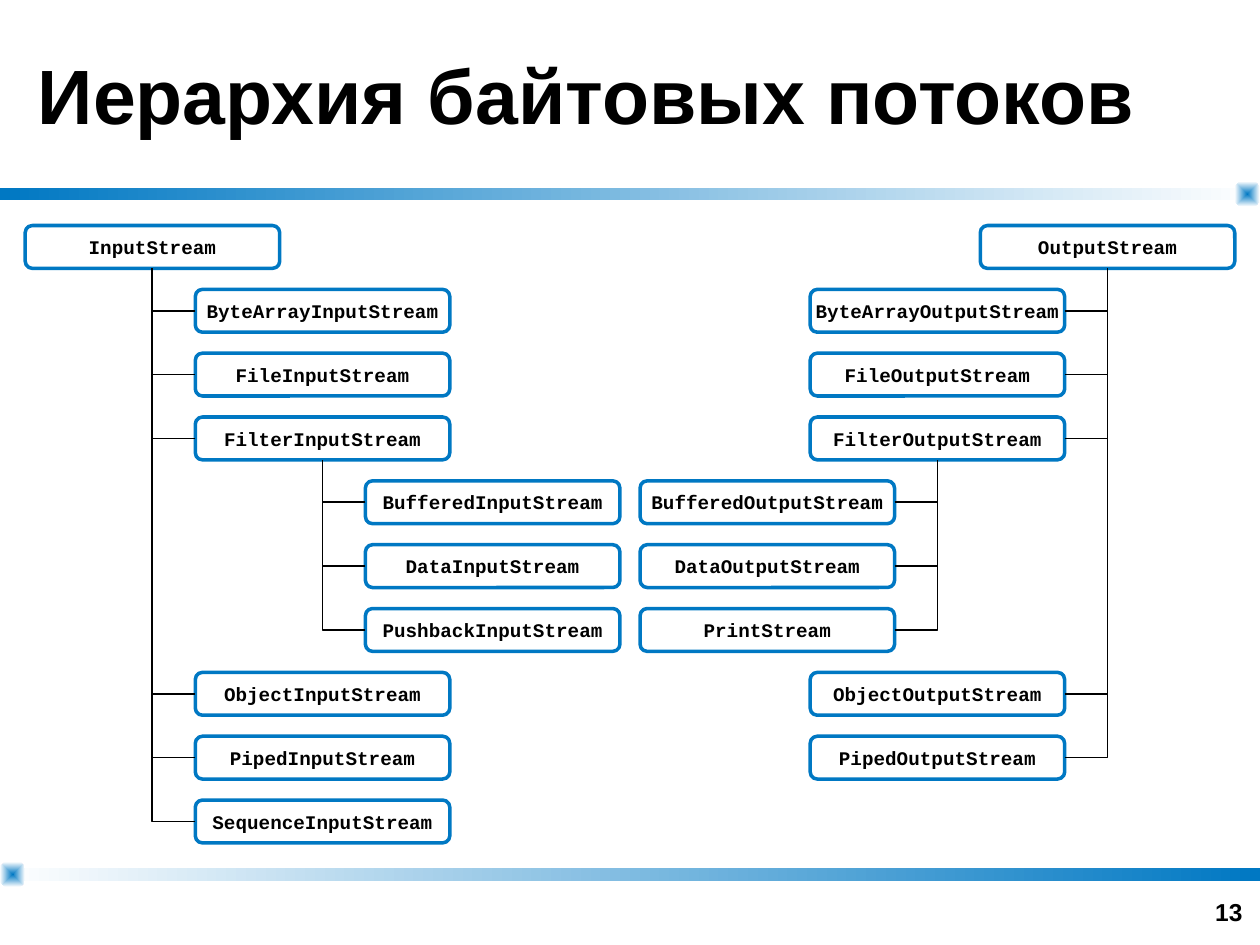
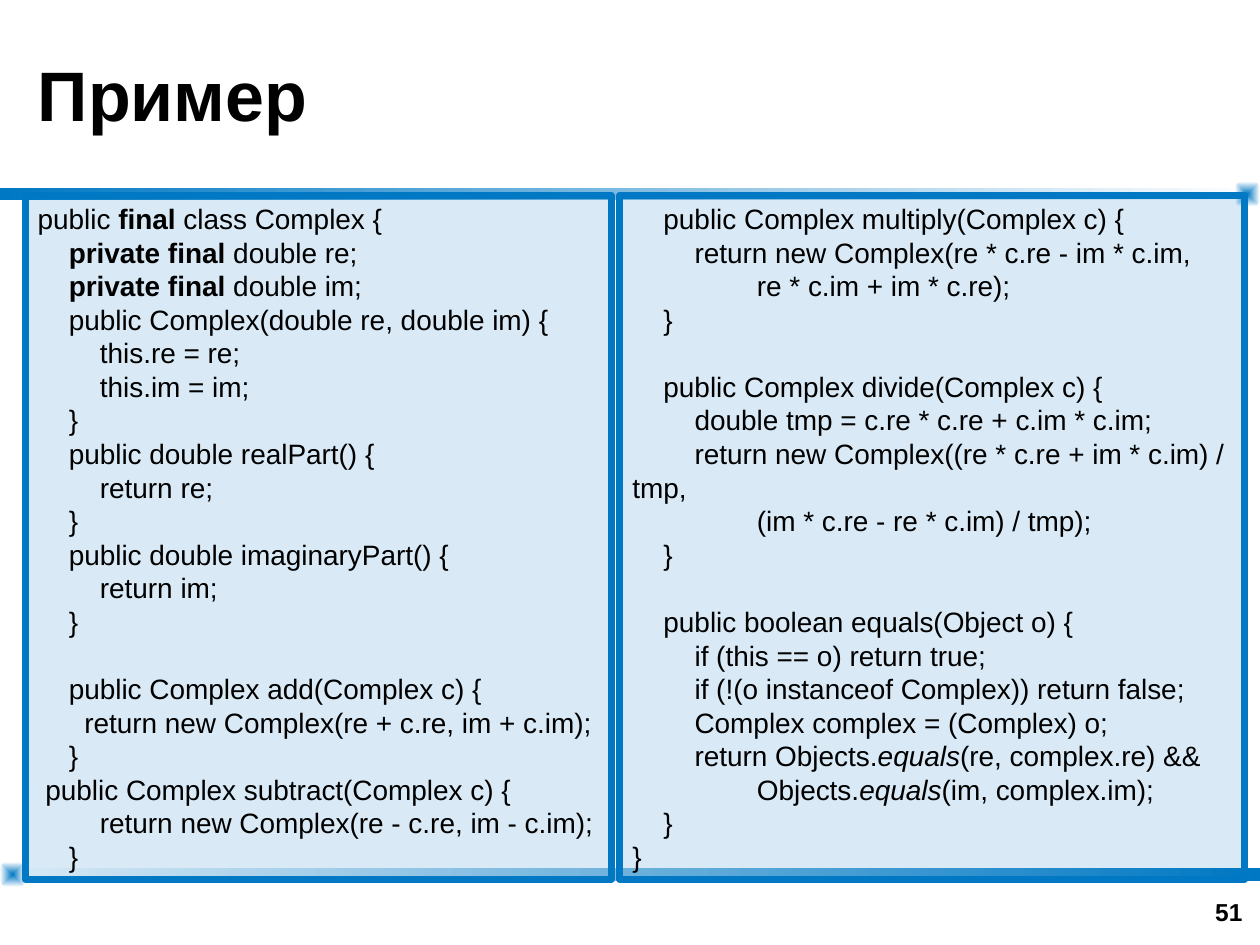
from lxml.etree import SubElement
from pptx import Presentation
from pptx.dml.color import RGBColor
from pptx.enum.shapes import MSO_CONNECTOR, MSO_SHAPE
from pptx.enum.text import MSO_ANCHOR, MSO_AUTO_SIZE, PP_ALIGN
from pptx.oxml.ns import qn
from pptx.util import Inches, Pt

BLUE = RGBColor(0x00, 0x78, 0xC3)
WHITE = RGBColor(0xFF, 0xFF, 0xFF)
BLACK = RGBColor(0x00, 0x00, 0x00)
BODY_FONT = "Arial"
CODE_FONT = "Courier New"

BOX_W, BOX_H = 2.02, 0.34
TREE_TOP = 1.79
ROW_STEP = (6.35 - TREE_TOP) / 9
LEVEL_STEP = 1.35
LEFT_SITE, BOTTOM_SITE, RIGHT_SITE = 1, 2, 3

CODE_LINE = 19.2  # points
SPACE_WIDTH = 4.45  # points, one space of 16 pt Arial

# Each entry is (class name, depth in the hierarchy).
INPUT_STREAMS = [
    ("InputStream", 0),
    ("ByteArrayInputStream", 1),
    ("FileInputStream", 1),
    ("FilterInputStream", 1),
    ("BufferedInputStream", 2),
    ("DataInputStream", 2),
    ("PushbackInputStream", 2),
    ("ObjectInputStream", 1),
    ("PipedInputStream", 1),
    ("SequenceInputStream", 1),
]
OUTPUT_STREAMS = [
    ("OutputStream", 0),
    ("ByteArrayOutputStream", 1),
    ("FileOutputStream", 1),
    ("FilterOutputStream", 1),
    ("BufferedOutputStream", 2),
    ("DataOutputStream", 2),
    ("PrintStream", 2),
    ("ObjectOutputStream", 1),
    ("PipedOutputStream", 1),
]

# Backquotes enclose emphasised words.
COMPLEX_LEFT = """\
public `final` class Complex {
    `private final` double re;
    `private final` double im;
    public Complex(double re, double im) {
        this.re = re;
        this.im = im;
    }
    public double realPart() {
        return re;
    }
    public double imaginaryPart() {
        return im;
    }

    public Complex add(Complex c) {
      return new Complex(re + c.re, im + c.im);
    }
 public Complex subtract(Complex c) {
        return new Complex(re - c.re, im - c.im);
    }"""
COMPLEX_RIGHT = """\
    public Complex multiply(Complex c) {
        return new Complex(re * c.re - im * c.im,
                re * c.im + im * c.re);
    }

    public Complex divide(Complex c) {
        double tmp = c.re * c.re + c.im * c.im;
        return new Complex((re * c.re + im * c.im) / tmp,
                (im * c.re - re * c.im) / tmp);
    }

    public boolean equals(Object o) {
        if (this == o) return true;
        if (!(o instanceof Complex)) return false;
        Complex complex = (Complex) o;
        return Objects.`equals`(re, complex.re) &&
                Objects.`equals`(im, complex.im);
    }
}"""


def set_attrs(obj, **values):
    for name, value in values.items():
        setattr(obj, name, value)


def add_run(p, text, size, font=BODY_FONT, **style):
    r = p.add_run()
    r.text = text
    set_attrs(r.font, name=font, size=Pt(size), **style)
    r.font.color.rgb = BLACK


def add_box(slide, kind, left, top, width, height):
    sp = slide.shapes.add_shape(
        kind, Inches(left), Inches(top), Inches(width), Inches(height))
    sp.shadow.inherit = False
    return sp


def set_outline(sp, width):
    sp.line.color.rgb = BLUE
    sp.line.width = Pt(width)


def set_gradient(sp, start, end):
    sp.line.fill.background()
    sp.fill.gradient()
    sp.fill.gradient_angle = 0
    for stop, color in zip(sp.fill.gradient_stops, (start, end)):
        stop.color.rgb = color


def make_gradient_central(sp):
    grad = sp.element.spPr.find(qn("a:gradFill"))
    grad.remove(grad.find(qn("a:lin")))
    path = SubElement(grad, qn("a:path"), path="rect")
    SubElement(path, qn("a:fillToRect"), l="50000", t="50000", r="50000", b="50000")


def decorate_layout(layout, slide):
    """Draw the bands and corner marks, then move them into the layout."""
    tree = layout.element.cSld.spTree
    for top, start, end, mark_left in (
            (1.49, BLUE, WHITE, 9.8), (6.89, WHITE, BLUE, 0)):
        band = add_box(slide, MSO_SHAPE.RECTANGLE, 0, top, 10, 0.1)
        set_gradient(band, start, end)
        mark = add_box(slide, MSO_SHAPE.ROUNDED_RECTANGLE,
                       mark_left, top - 0.05, 0.2, 0.2)
        mark.adjustments[0] = 0.32
        set_gradient(mark, BLUE, WHITE)
        make_gradient_central(mark)
        for sp in (band, mark):
            tree.append(sp.element)


def add_titled_slide(prs, layout, title, size, number):
    slide = prs.slides.add_slide(layout)
    sp = slide.shapes.title
    set_attrs(sp, left=Inches(0.2), top=0, width=Inches(9.6), height=Inches(1.49))
    set_attrs(sp.text_frame, vertical_anchor=MSO_ANCHOR.MIDDLE,
              auto_size=MSO_AUTO_SIZE.NONE)
    p = sp.text_frame.paragraphs[0]
    p.alignment = PP_ALIGN.LEFT
    add_run(p, title, size, bold=True)

    tf = slide.shapes.add_textbox(
        Inches(7.63), Inches(6.9), Inches(2.33), Inches(0.5)).text_frame
    set_attrs(tf, word_wrap=True, vertical_anchor=MSO_ANCHOR.BOTTOM)
    p = tf.paragraphs[0]
    p.alignment = PP_ALIGN.RIGHT
    add_run(p, str(number), 14, bold=True)
    return slide


def add_class_box(slide, name, left, top):
    sp = add_box(slide, MSO_SHAPE.ROUNDED_RECTANGLE, left, top, BOX_W, BOX_H)
    sp.fill.background()
    set_outline(sp, 2)
    tf = sp.text_frame
    set_attrs(tf, margin_left=0, margin_right=0, margin_top=0, margin_bottom=0,
              word_wrap=False, vertical_anchor=MSO_ANCHOR.MIDDLE)
    p = tf.paragraphs[0]
    p.alignment = PP_ALIGN.CENTER
    add_run(p, name, 11, CODE_FONT, bold=True)
    return sp


def link_to_parent(slide, child, parent, child_site):
    line = slide.shapes.add_connector(MSO_CONNECTOR.ELBOW, 0, 0, 0, 0)
    line.begin_connect(child, child_site)
    line.end_connect(parent, BOTTOM_SITE)
    line.line.color.rgb = BLACK
    line.line.width = Pt(1)
    sp_pr = line._element.spPr
    sp_pr.find(qn("a:prstGeom")).set("prst", "bentConnector2")
    SubElement(sp_pr, qn("a:effectLst"))


def add_class_tree(slide, classes, root_left, direction):
    """Stack the classes in rows; direction 1 indents rightwards, -1 leftwards."""
    child_site = LEFT_SITE if direction > 0 else RIGHT_SITE
    latest = {}
    for row, (name, depth) in enumerate(classes):
        box = add_class_box(slide, name, root_left + direction * depth * LEVEL_STEP,
                            TREE_TOP + row * ROW_STEP)
        latest[depth] = box
        if depth:
            link_to_parent(slide, box, latest[depth - 1], child_site)


def add_code_panel(slide, left, width, code, emphasis):
    sp = add_box(slide, MSO_SHAPE.RECTANGLE, left, 1.55, width, 5.43)
    sp.fill.solid()
    sp.fill.fore_color.rgb = BLUE
    color = sp.element.spPr.find(qn("a:solidFill"))[0]
    SubElement(color, qn("a:alpha"), val="15000")
    set_outline(sp, 4)
    tf = sp.text_frame
    set_attrs(tf, word_wrap=True, vertical_anchor=MSO_ANCHOR.TOP)

    p, gap = tf.paragraphs[0], 0
    for line in code.split("\n"):
        if not line:
            gap = CODE_LINE
            continue
        if p.runs:
            p = tf.add_paragraph()
        set_attrs(p, alignment=PP_ALIGN.LEFT, line_spacing=Pt(CODE_LINE),
                  space_before=Pt(gap))
        gap = 0
        text = line.lstrip()
        indent = Pt((len(line) - len(text)) * SPACE_WIDTH)
        p._p.get_or_add_pPr().set("indent", str(indent))
        for i, part in enumerate(text.split("`")):
            if part:
                add_run(p, part, 16, **{emphasis: i % 2 == 1})


def main():
    prs = Presentation()
    prs.slide_width, prs.slide_height = Inches(10), Inches(7.5)
    layout = prs.slide_layouts.get_by_name("Title Only")

    slide = add_titled_slide(prs, layout, "Иерархия байтовых потоков", 44, 13)
    decorate_layout(layout, slide)
    add_class_tree(slide, INPUT_STREAMS, 0.2, 1)
    add_class_tree(slide, OUTPUT_STREAMS, 7.78, -1)

    slide = add_titled_slide(prs, layout, "Пример", 40, 51)
    add_code_panel(slide, 0.2, 4.65, COMPLEX_LEFT, "bold")
    add_code_panel(slide, 4.92, 4.96, COMPLEX_RIGHT, "italic")

    prs.save("out.pptx")


if __name__ == "__main__":
    main()
